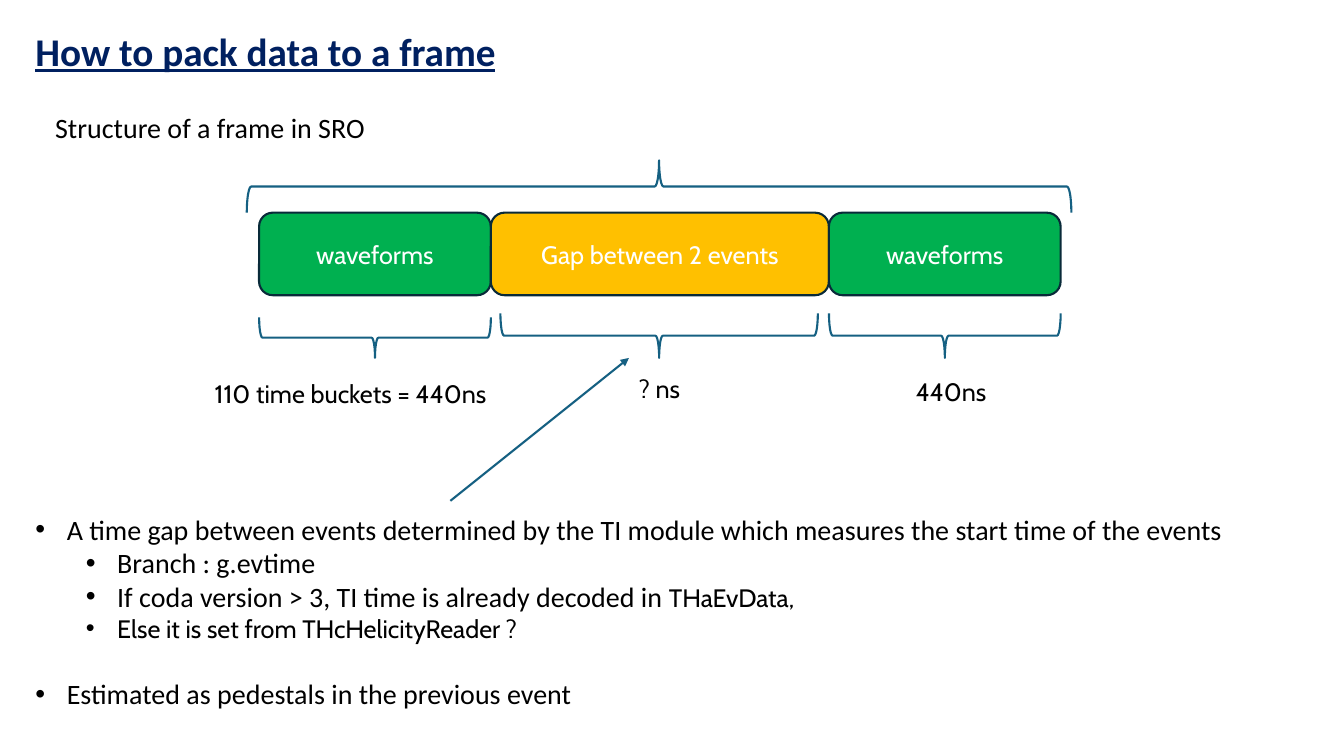
"""Build the slide that explains how data are packed into a streaming frame."""
from typing import NamedTuple

from lxml import etree
from pptx import Presentation
from pptx.dml.color import RGBColor
from pptx.enum.shapes import MSO_CONNECTOR, MSO_SHAPE
from pptx.enum.text import MSO_ANCHOR, MSO_AUTO_SIZE, PP_ALIGN
from pptx.oxml.ns import qn
from pptx.util import Cm, Pt

STRAIGHT = MSO_CONNECTOR.STRAIGHT
ROUNDED, BRACE = MSO_SHAPE.ROUNDED_RECTANGLE, MSO_SHAPE.RIGHT_BRACE
TOP, MIDDLE = MSO_ANCHOR.TOP, MSO_ANCHOR.MIDDLE
LEFT, CENTER = PP_ALIGN.LEFT, PP_ALIGN.CENTER
NO_AUTOFIT = MSO_AUTO_SIZE.NONE

COLORS = {
    "title": "002060", "text": "000000", "block_text": "FFFFFF",
    "waveform": "00B050", "gap": "FFC000", "outline": "092A39", "brace": "156082",
}
LINE_WIDTH = Pt(1.5)
FRAME_LEFT, FRAME_TOP, FRAME_HEIGHT = 6.53, 5.36, 2.08
WAVEFORM_WIDTH, GAP_WIDTH = 5.84, 8.52


class Style(NamedTuple):
    """Font name, size in points and colour key."""
    font: str
    size: int
    color: str


class Block(NamedTuple):
    """One section of the frame."""
    text: str
    width: float
    color: str


class Brace(NamedTuple):
    """Visible extent of a horizontal brace and its rotation."""
    left: float
    top: float
    width: float
    depth: float
    rotation: int


class Label(NamedTuple):
    """A free text box."""
    text: str
    left: float
    top: float
    width: float
    height: float
    style: Style


class Bullet(NamedTuple):
    """A list item with its styled pieces."""
    level: int
    pieces: list
    space_before: int = 0


CALIBRI = Style("Calibri", 20, "text")
CABIN = Style("Cabin", 18, "text")
BLOCK_STYLE = Style("Cabin", 18, "block_text")
TITLE_STYLE = Style("Calibri", 28, "title")

BLOCKS = [
    Block("waveforms", WAVEFORM_WIDTH, "waveform"),
    Block("Gap between 2 events", GAP_WIDTH, "gap"),
    Block("waveforms", WAVEFORM_WIDTH, "waveform"),
]
BRACES = [
    Brace(FRAME_LEFT, 8, WAVEFORM_WIDTH, 1.02, 90),
    Brace(12.61, 7.9, 8, 1.12, 90),
    Brace(FRAME_LEFT + WAVEFORM_WIDTH + GAP_WIDTH, 7.9, WAVEFORM_WIDTH, 1.12, 90),
    Brace(6.22, 4.04, 20.78, 1.32, 270),
]
LABELS = [
    Label("Structure of a frame in SRO", 1.14, 2.67, 16.94, 1.12, CALIBRI),
    Label("110 time buckets = 440ns", 5.16, 9.4, 9.83, 1.02, CABIN),
    Label("? ns", 15.85, 9.27, 3.4, 1.02, CABIN),
    Label("440ns", 22.83, 9.37, 2.69, 1.02, CABIN),
]
BULLETS = [
    Bullet(0, [("A time gap between events determined by the TI module "
                "which measures the start time of the events", CALIBRI)]),
    Bullet(1, [("Branch : g.evtime", CALIBRI)]),
    Bullet(1, [("If coda version > 3, TI time is already decoded in ", CALIBRI),
               ("THaEvData,", CABIN)]),
    Bullet(1, [("Else it is set from THcHelicityReader ?", CABIN)]),
    Bullet(0, [("Estimated as pedestals in the previous event", CALIBRI)], 24),
]


def rgb(key: str) -> RGBColor:
    """Look up a colour."""
    return RGBColor.from_string(COLORS[key])


def style_run(run, style: Style) -> None:
    """Apply a style to a run."""
    run.font.name = style.font
    run.font.size = Pt(style.size)
    run.font.color.rgb = rgb(style.color)


def place(shape, left: float, top: float, width: float, height: float) -> None:
    """Move and size a shape in centimetres."""
    shape.left, shape.top = Cm(left), Cm(top)
    shape.width, shape.height = Cm(width), Cm(height)


def fill_title(title) -> None:
    """Write the slide title."""
    place(title, 0.64, 0.56, 18.03, 1.45)
    frame = title.text_frame
    frame.text = "How to pack data to a frame"
    frame.auto_size, frame.vertical_anchor = NO_AUTOFIT, TOP
    paragraph = frame.paragraphs[0]
    paragraph.alignment = LEFT
    run = paragraph.runs[0]
    style_run(run, TITLE_STYLE)
    run.font.bold = run.font.underline = True


def fill_body(body) -> None:
    """Write the bullet list."""
    place(body, 0.64, 12.78, 31.7, 5.31)
    frame = body.text_frame
    frame.auto_size, frame.vertical_anchor = NO_AUTOFIT, TOP
    for index, bullet in enumerate(BULLETS):
        paragraph = frame.add_paragraph() if index else frame.paragraphs[0]
        paragraph.level = bullet.level
        paragraph.space_before = Pt(bullet.space_before)
        properties = paragraph._p.get_or_add_pPr()
        properties.set("marL", str(Cm(0.79 + 1.27 * bullet.level)))
        properties.set("indent", str(-Cm(0.79)))
        etree.SubElement(properties, qn("a:buFont"), typeface="Arial")
        etree.SubElement(properties, qn("a:buChar"), char="•")
        for text, style in bullet.pieces:
            run = paragraph.add_run()
            run.text = text
            style_run(run, style)


def draw_block(slide, block: Block, left: float) -> None:
    """Draw one section of the frame."""
    shape = slide.shapes.add_shape(
        ROUNDED, Cm(left), Cm(FRAME_TOP), Cm(block.width), Cm(FRAME_HEIGHT))
    shape.shadow.inherit = False
    shape.fill.solid()
    shape.fill.fore_color.rgb = rgb(block.color)
    shape.line.color.rgb = rgb("outline")
    shape.line.width = LINE_WIDTH
    frame = shape.text_frame
    frame.text = block.text
    frame.vertical_anchor = MIDDLE
    frame.paragraphs[0].alignment = CENTER
    style_run(frame.paragraphs[0].runs[0], BLOCK_STYLE)


def draw_brace(slide, brace: Brace) -> None:
    """Draw a brace turned to lie along the frame."""
    shift = (brace.width - brace.depth) / 2
    shape = slide.shapes.add_shape(
        BRACE, Cm(brace.left + shift), Cm(brace.top - shift), Cm(brace.depth), Cm(brace.width))
    shape.rotation = brace.rotation
    shape.shadow.inherit = False
    shape.fill.background()
    shape.line.color.rgb = rgb("brace")
    shape.line.width = LINE_WIDTH


def draw_label(slide, label: Label) -> None:
    """Draw a text box."""
    box = slide.shapes.add_textbox(
        Cm(label.left), Cm(label.top), Cm(label.width), Cm(label.height))
    box.text_frame.word_wrap = True
    box.text_frame.text = label.text
    style_run(box.text_frame.paragraphs[0].runs[0], label.style)


def draw_arrow(slide) -> None:
    """Draw the arrow from the list to the unknown gap."""
    arrow = slide.shapes.add_connector(STRAIGHT, Cm(11.35), Cm(12.62), Cm(15.85), Cm(9.02))
    arrow.line.color.rgb = rgb("brace")
    arrow.line.width = LINE_WIDTH
    etree.SubElement(arrow.line._get_or_add_ln(), qn("a:tailEnd"), type="triangle")
    etree.SubElement(arrow._element.spPr, qn("a:effectLst"))


def main() -> None:
    """Build and save the presentation."""
    presentation = Presentation()
    presentation.slide_width, presentation.slide_height = Cm(33.87), Cm(19.05)
    slide = presentation.slides.add_slide(presentation.slide_layouts[1])
    fill_title(slide.shapes.title)
    fill_body(slide.placeholders[1])
    left = FRAME_LEFT
    for block in BLOCKS:
        draw_block(slide, block, left)
        left += block.width
    for brace in BRACES:
        draw_brace(slide, brace)
    for label in LABELS:
        draw_label(slide, label)
    draw_arrow(slide)
    presentation.save("out.pptx")


if __name__ == "__main__":
    main()
